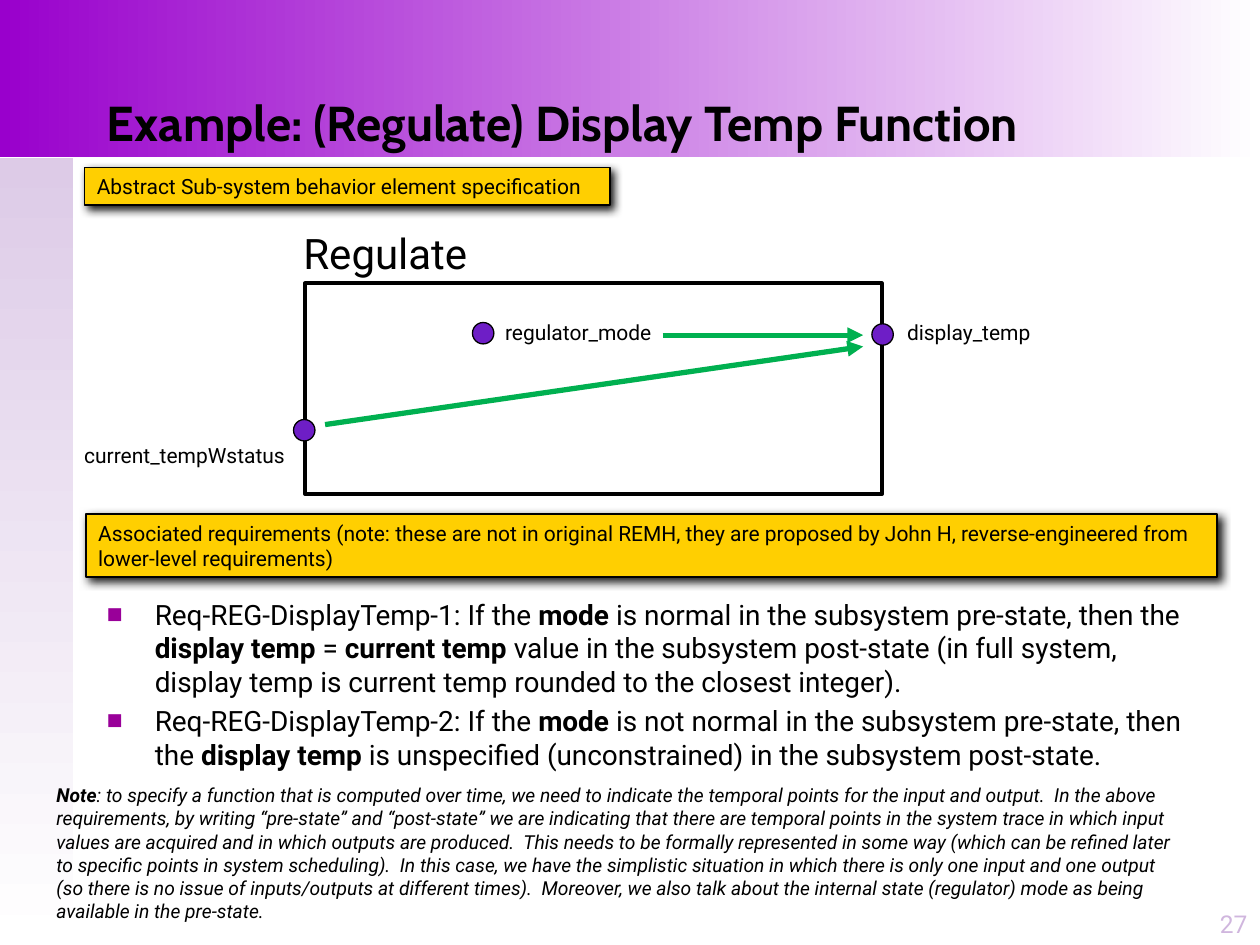
from dataclasses import dataclass

import pptx
import pptx.dml.color
import pptx.enum.dml
import pptx.enum.shapes
import pptx.enum.text
import pptx.oxml
import pptx.oxml.ns
import pptx.util

RGB = pptx.dml.color.RGBColor
SHAPE = pptx.enum.shapes.MSO_SHAPE
ANCHOR = pptx.enum.text.MSO_ANCHOR
ALIGN = pptx.enum.text.PP_ALIGN
AUTO = pptx.enum.text.MSO_AUTO_SIZE

PX = 9144  # 100 px to the inch
BLACK = RGB(0x00, 0x00, 0x00)
WHITE = RGB(0xFF, 0xFF, 0xFF)
BANNER = RGB(0x99, 0x00, 0xCC)
STRIP = RGB(0xDD, 0xCB, 0xE7)
PAGE_NUMBER = RGB(0xD0, 0xB6, 0xDE)
PORT = RGB(0x6E, 0x1E, 0xC6)
CALLOUT = RGB(0xFF, 0xCF, 0x01)
ARROW = RGB(0x00, 0xB0, 0x50)
BULLET = "990099"
PORT_SIZE = 17
NS = pptx.oxml.ns.nsdecls("a")


@dataclass(frozen=True)
class Box:
    x: int
    y: int
    w: int
    h: int

    def emu(self) -> list[int]:
        return [v * PX for v in (self.x, self.y, self.w, self.h)]


@dataclass(frozen=True)
class Run:
    text: str
    bold: bool = False


@dataclass(frozen=True)
class Style:
    size: int
    font: str = "Roboto"
    color: RGB = BLACK
    italic: bool = False


@dataclass(frozen=True)
class Label:
    text: str
    box: Box
    size: int = 12


@dataclass(frozen=True)
class Arrow:
    x1: int
    y1: int
    x2: int
    y2: int


def add_runs(p, runs: list[Run], style: Style) -> None:
    for run in runs:
        r = p.add_run()
        r.text = run.text
        r.font.name = style.font
        r.font.size = pptx.util.Pt(style.size)
        r.font.color.rgb = style.color
        r.font.bold = run.bold
        r.font.italic = style.italic


def add_text(s, box: Box, runs: list[Run], style: Style, wrap: bool = True,
             anchor=ANCHOR.TOP, align=ALIGN.LEFT, grow: bool = False):
    tf = s.shapes.add_textbox(*box.emu()).text_frame
    tf.word_wrap = wrap
    tf.vertical_anchor = anchor
    tf.auto_size = AUTO.SHAPE_TO_FIT_TEXT if grow else AUTO.NONE
    tf.paragraphs[0].alignment = align
    add_runs(tf.paragraphs[0], runs, style)
    return tf


def add_shape(s, kind, box: Box, fill: RGB | None, line: float):
    """Add a flat preset shape with a black outline."""
    sp = s.shapes.add_shape(kind, *box.emu())
    sp.shadow.inherit = False
    if fill is None:
        sp.fill.background()
    else:
        sp.fill.solid()
        sp.fill.fore_color.rgb = fill
    sp.line.color.rgb = BLACK
    sp.line.width = pptx.util.Pt(line)
    return sp


def add_gradient(s, box: Box, color: RGB, angle: int) -> None:
    """Add a borderless band fading to white; the angle is counter-clockwise."""
    sp = s.shapes.add_shape(SHAPE.RECTANGLE, *box.emu())
    sp.shadow.inherit = False
    sp.line.fill.background()
    sp.fill.gradient()
    sp.fill.gradient_angle = angle
    for stop, rgb, position in zip(sp.fill.gradient_stops, (color, WHITE), (0, 1)):
        stop.color.rgb = rgb
        stop.position = position


def add_callout(s, label: Label) -> None:
    sp = add_shape(s, SHAPE.RECTANGLE, label.box, CALLOUT, 1)
    sp.shadow.inherit = False
    effects = sp._element.spPr.find(pptx.oxml.ns.qn("a:effectLst"))
    effects.append(pptx.oxml.parse_xml(
        f'<a:outerShdw {NS} blurRad="63500" dist="35560" dir="2700000" algn="tl" '
        'rotWithShape="0"><a:srgbClr val="1C1C1C"/></a:outerShdw>'))
    tf = sp.text_frame
    tf.word_wrap = True
    tf.auto_size = AUTO.SHAPE_TO_FIT_TEXT
    tf.vertical_anchor = ANCHOR.MIDDLE
    tf.paragraphs[0].alignment = ALIGN.LEFT
    add_runs(tf.paragraphs[0], [Run(label.text)], Style(label.size))


def add_arrow(s, arrow: Arrow) -> None:
    c = s.shapes.add_connector(
        pptx.enum.shapes.MSO_CONNECTOR.STRAIGHT,
        *(v * PX for v in (arrow.x1, arrow.y1, arrow.x2, arrow.y2)))
    c.line.color.rgb = ARROW
    c.line.width = pptx.util.Pt(3)
    c.line._get_or_add_ln().append(
        pptx.oxml.parse_xml(f'<a:tailEnd {NS} type="triangle"/>'))
    c._element.spPr.append(pptx.oxml.parse_xml(f"<a:effectLst {NS}/>"))


def add_bullets(s, box: Box, items: list[list[Run]], style: Style) -> None:
    tf = add_text(s, box, items[0], style)
    for runs in items[1:]:
        p = tf.add_paragraph()
        p.space_before = pptx.util.Pt(0.2 * style.size)
        add_runs(p, runs, style)
    for p in tf.paragraphs:
        pPr = p._p.get_or_add_pPr()
        pPr.set("marL", str(38 * PX))
        pPr.set("indent", str(-38 * PX))
        for xml in (f'<a:buClr {NS}><a:srgbClr val="{BULLET}"/></a:buClr>',
                    f'<a:buSzPct {NS} val="60000"/>',
                    f'<a:buFont {NS} typeface="Roboto"/>',
                    f'<a:buChar {NS} char="■"/>'):
            pPr.append(pptx.oxml.parse_xml(xml))


PORTS = [(692, 257), (233, 333), (375, 256)]
CALLOUTS = [
    Label("Abstract Sub-system behavior element specification", Box(67, 133, 417, 30)),
    Label("Associated requirements (note: these are not in original REMH, they are "
          "proposed by John H, reverse-engineered from lower-level requirements)",
          Box(68, 408, 898, 50)),
]
LABELS = [
    Label("Regulate", Box(231, 176, 150, 50), 24),
    Label("regulator_mode", Box(391, 249, 138, 30)),
    Label("current_tempWstatus", Box(57, 346, 181, 30)),
    Label("display_temp", Box(710, 249, 118, 30)),
]
ARROWS = [Arrow(258, 337, 685, 275), Arrow(526, 266, 685, 266)]
REQUIREMENTS = [
    [Run("Req-REG-DisplayTemp-1: If the "), Run("mode", True),
     Run(" is normal in the subsystem pre-state, then the "),
     Run("display temp ", True), Run("= "), Run("current temp ", True),
     Run("value in the subsystem post-state (in full system, display temp is "
         "current temp rounded to the closest integer).")],
    [Run("Req-REG-DisplayTemp-2: If the "), Run("mode", True),
     Run(" is not normal in the subsystem pre-state, then the "),
     Run("display temp ", True),
     Run("is unspecified (unconstrained) in the subsystem post-state.")],
]
NOTE = [Run("Note", True), Run(
    ": to specify a function that is computed over time, we need to indicate the "
    "temporal points for the input and output.  In the above requirements, by writing "
    "“pre-state” and “post-state” we are indicating that there are temporal points in "
    "the system trace in which input values are acquired and in which outputs are "
    "produced.  This needs to be formally represented in some way (which can be refined "
    "later to specific points in system scheduling).  In this case, we have the "
    "simplistic situation in which there is only one input and one output (so there is "
    "no issue of inputs/outputs at different times).  Moreover, we also talk about the "
    "internal state (regulator) mode as being available in the pre-state.")]


def main() -> None:
    prs = pptx.Presentation()
    prs.slide_width, prs.slide_height = 1000 * PX, 750 * PX
    s = prs.slides.add_slide(prs.slide_layouts[6])
    add_gradient(s, Box(0, 125, 58, 625), STRIP, 270)
    add_gradient(s, Box(0, 0, 1000, 125), BANNER, 0)
    add_text(s, Box(75, 0, 892, 125), [Run("Example: (Regulate) Display Temp Function", True)],
             Style(28, "Cabin"), anchor=ANCHOR.BOTTOM)
    add_text(s, Box(950, 700, 50, 50), [Run("27")], Style(14, color=PAGE_NUMBER),
             anchor=ANCHOR.BOTTOM, align=ALIGN.RIGHT)
    add_shape(s, SHAPE.RECTANGLE, Box(242, 225, 458, 167), None, 2.25)
    for x, y in PORTS:
        add_shape(s, SHAPE.OVAL, Box(x, y, PORT_SIZE, PORT_SIZE), PORT, 0.75)
    for label in LABELS:
        add_text(s, label.box, [Run(label.text)], Style(label.size), wrap=False, grow=True)
    for arrow in ARROWS:
        add_arrow(s, arrow)
    for callout in CALLOUTS:
        add_callout(s, callout)
    add_bullets(s, Box(75, 469, 892, 231), REQUIREMENTS, Style(16))
    add_text(s, Box(35, 617, 917, 121), NOTE, Style(11, italic=True), grow=True)
    prs.save("out.pptx")


if __name__ == "__main__":
    main()
